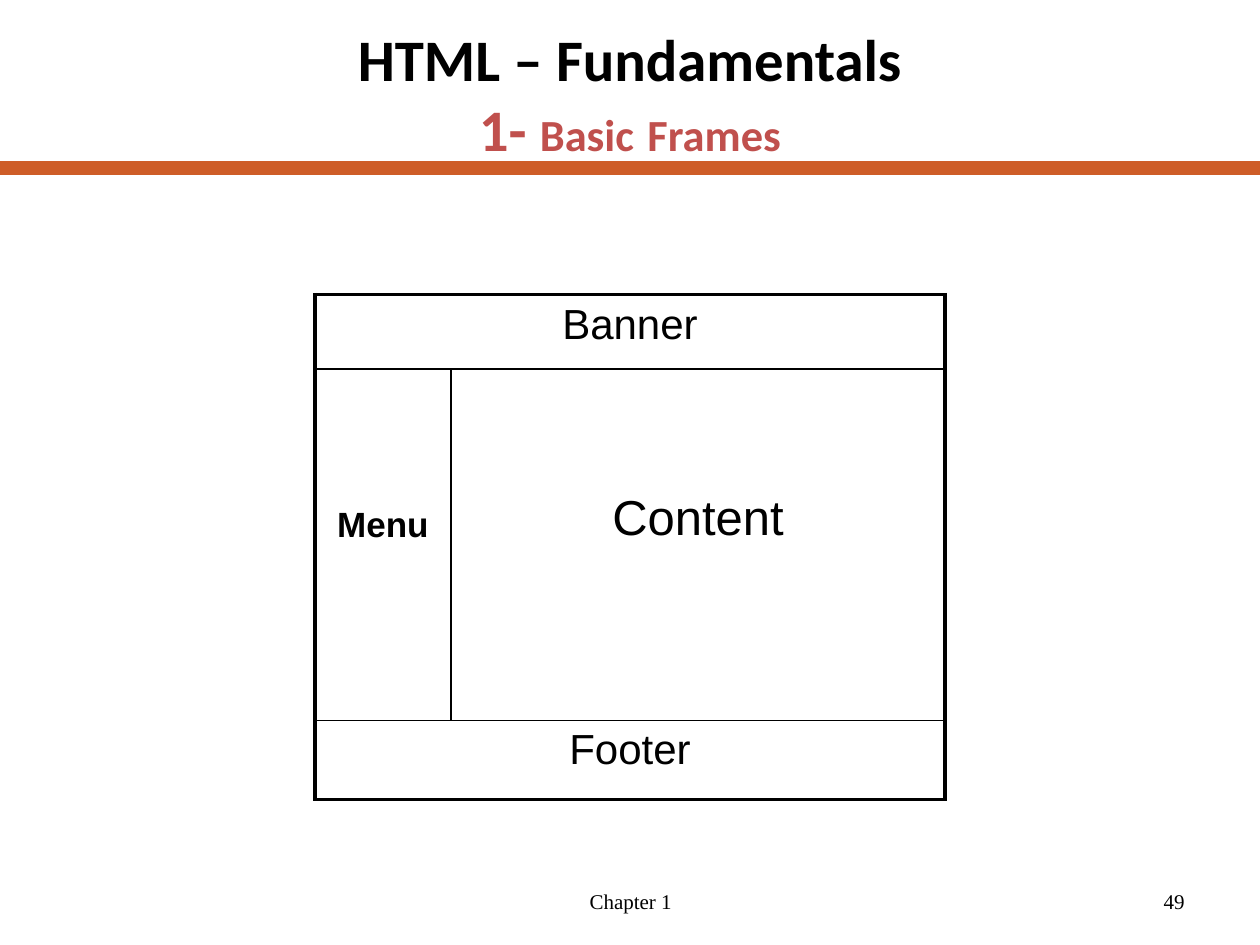
from lxml import etree
from pptx import Presentation
from pptx.dml.color import RGBColor
from pptx.enum.shapes import MSO_CONNECTOR
from pptx.enum.text import MSO_ANCHOR, PP_ALIGN
from pptx.oxml.ns import qn
from pptx.util import Cm, Pt

STRAIGHT = MSO_CONNECTOR.STRAIGHT
MIDDLE = MSO_ANCHOR.MIDDLE
CENTER, RIGHT = PP_ALIGN.CENTER, PP_ALIGN.RIGHT

BLACK = RGBColor(0x00, 0x00, 0x00)
RED = RGBColor(0xC0, 0x50, 0x4D)
ORANGE = RGBColor(0xCE, 0x5D, 0x28)

OUTER, INNER = Pt(2.25), Pt(1)
COLUMN_WIDTHS = [Cm(2.74), Cm(9.96)]
ROW_HEIGHTS = [Cm(1.5), Cm(7.08), Cm(1.6)]


def style_font(font, name, size, color=BLACK, bold=False):
    """Set the typeface, size, colour and weight of a font."""
    font.name = name
    font.size = Pt(size)
    font.color.rgb = color
    font.bold = bold


def add_text_box(slide, left, top, width, height, alignment):
    """Add a wrapped, vertically centred box and return its paragraph."""
    frame = slide.shapes.add_textbox(left, top, width, height).text_frame
    frame.word_wrap = True
    frame.vertical_anchor = MIDDLE
    paragraph = frame.paragraphs[0]
    paragraph.alignment = alignment
    return paragraph


def add_title(slide):
    """Add the two-line title with its red second line."""
    paragraph = add_text_box(slide, Cm(1.27), Cm(0.76), Cm(22.86), Cm(2.24), CENTER)
    style_font(paragraph.font, "Calibri", 33.6, bold=True)
    heading = paragraph.add_run()
    heading.text = "HTML – Fundamentals"
    style_font(heading.font, "Calibri", 33.6, bold=True)
    paragraph.add_line_break()
    for text, size in [("1- ", 33.6), ("Basic", 25.4), (" ", 33.6), ("Frames", 25.4)]:
        run = paragraph.add_run()
        run.text = text
        style_font(run.font, "Calibri", size, RED, True)


def add_rule(slide, width):
    """Add the orange rule across the slide under the title."""
    top = Cm(3.38)
    rule = slide.shapes.add_connector(STRAIGHT, 0, top, width, top)
    rule.line.color.rgb = ORANGE
    rule.line.width = Pt(8)
    etree.SubElement(rule.element.spPr, qn("a:effectLst"))


def set_borders(cell, widths):
    """Draw the left, right, top and bottom borders of a cell."""
    properties = cell._tc.get_or_add_tcPr()
    for index, (side, width) in enumerate(zip("LRTB", widths)):
        line = etree.Element(qn(f"a:ln{side}"), w=str(width))
        fill = etree.SubElement(line, qn("a:solidFill"))
        etree.SubElement(fill, qn("a:srgbClr"), val=str(BLACK))
        properties.insert(index, line)


def fill_cell(cell, text, size, bold=False, margin_top=Cm(0.13)):
    """Write a centred label into a cell."""
    cell.margin_top = margin_top
    paragraph = cell.text_frame.paragraphs[0]
    paragraph.text = text
    paragraph.alignment = CENTER
    style_font(paragraph.font, "Arial", size, bold=bold)


def add_frame_table(slide):
    """Add the page layout of banner, menu, content and footer."""
    table = slide.shapes.add_table(
        len(ROW_HEIGHTS), len(COLUMN_WIDTHS), Cm(6.35), Cm(5.94),
        sum(COLUMN_WIDTHS), sum(ROW_HEIGHTS)).table
    table.first_row = table.horz_banding = False
    for column, width in zip(table.columns, COLUMN_WIDTHS):
        column.width = width
    for row, height in zip(table.rows, ROW_HEIGHTS):
        row.height = height

    last_row, last_column = len(ROW_HEIGHTS) - 1, len(COLUMN_WIDTHS) - 1
    for row in range(last_row + 1):
        for column in range(last_column + 1):
            cell = table.cell(row, column)
            cell.fill.background()
            edges = [column == 0, column == last_column, row == 0, row == last_row]
            set_borders(cell, [OUTER if edge else INNER for edge in edges])
    for row in (0, last_row):
        table.cell(row, 0).merge(table.cell(row, last_column))
        set_borders_right = table.cell(row, 0)._tc.tcPr.find(qn("a:lnR"))
        set_borders_right.set("w", str(OUTER))

    fill_cell(table.cell(0, 0), "Banner", 24)
    fill_cell(table.cell(1, 0), "Menu", 20, True, Cm(2.75))
    fill_cell(table.cell(1, 1), "Content", 28, margin_top=Cm(2.47))
    fill_cell(table.cell(last_row, 0), "Footer", 24)


def add_footer(slide, text, left, width, alignment):
    """Add a small text at the foot of the slide."""
    paragraph = add_text_box(slide, left, Cm(17.65), width, Cm(1.02), alignment)
    paragraph.text = text
    style_font(paragraph.font, "Times New Roman", 12)


def main():
    """Build the slide and save it."""
    presentation = Presentation()
    presentation.slide_width = Cm(25.4)
    presentation.slide_height = Cm(19.05)
    slide = presentation.slides.add_slide(presentation.slide_layouts[6])
    add_rule(slide, presentation.slide_width)
    add_title(slide)
    add_frame_table(slide)
    add_footer(slide, "49", Cm(18.21), Cm(5.92), RIGHT)
    add_footer(slide, "Chapter 1", Cm(8.69), Cm(8.05), CENTER)
    presentation.save("out.pptx")


if __name__ == "__main__":
    main()
